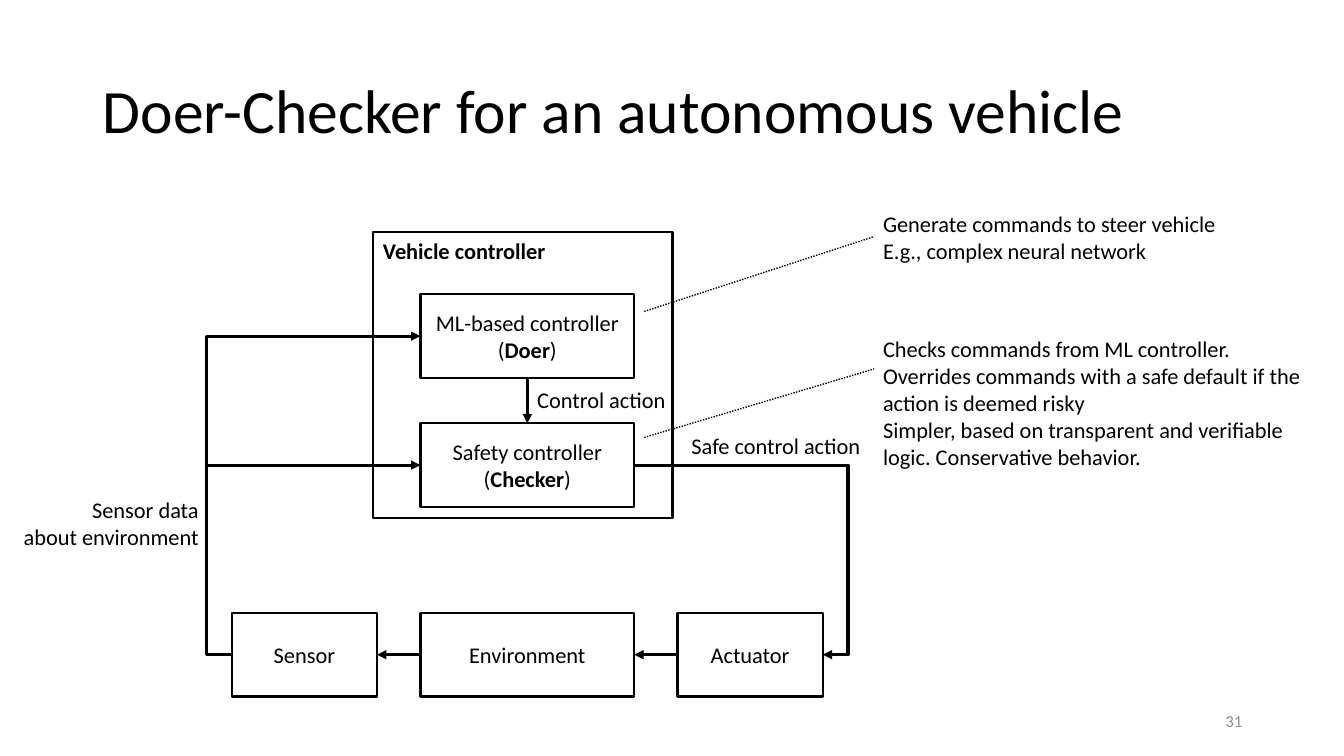
from pptx import Presentation
from pptx.dml.color import RGBColor
from pptx.enum.dml import MSO_LINE
from pptx.enum.shapes import MSO_CONNECTOR as CXN, MSO_SHAPE
from pptx.enum.text import MSO_ANCHOR as ANCHOR, MSO_AUTO_SIZE as AUTO, PP_ALIGN as ALIGN
from pptx.oxml.ns import qn
from pptx.util import Pt
from lxml.etree import SubElement

PX = 9144
BLACK = RGBColor(0x00, 0x00, 0x00)
GRAY = RGBColor(0x8C, 0x8C, 0x8C)
FONT = "Calibri"
TOP, LEFT, BOTTOM, RIGHT = range(4)
LOOP_OUT = 25

TITLE = "Doer-Checker for an autonomous vehicle"
PAGE = "31"
BOXES = {
    "doer": (417, 292, 212, 83, [["ML-based controller"], ["(", "*Doer", ")"]]),
    "checker": (417, 420, 212, 83, [["Safety controller"], ["(", "*Checker", ")"]]),
    "sensor": (230, 608, 144, 83, [["Sensor"]]),
    "environment": (417, 608, 212, 83, [["Environment"]]),
    "actuator": (672, 608, 144, 83, [["Actuator"]]),
    "vehicle": (370, 230, 297, 284, [["*Vehicle controller"]]),
}
ARROWS = [
    ("doer", BOTTOM, "checker", TOP),
    ("actuator", LEFT, "environment", RIGHT),
    ("environment", LEFT, "sensor", RIGHT),
]
LOOPS = [
    ("checker", RIGHT, "actuator", RIGHT),
    ("sensor", LEFT, "checker", LEFT),
    ("sensor", LEFT, "doer", LEFT),
]
POINTERS = [(639, 309, 866, 235), (639, 434, 867, 366)]
LABELS = [
    (523, 378, 149, 37, ALIGN.LEFT, False, [["Control action"]]),
    (676, 424, 190, 37, ALIGN.LEFT, False, [["Safe control action"]]),
    (10, 487, 197, 64, ALIGN.RIGHT, True, [["Sensor data"], ["about environment"]]),
    (866, 204, 451, 64, ALIGN.LEFT, True, [
        ["Generate commands to steer vehicle"],
        ["E.g., complex neural network"]]),
    (866, 328, 451, 145, ALIGN.LEFT, True, [
        ["Checks commands from ML controller."],
        ["Overrides commands with a safe default if the action is deemed risky"],
        ["Simpler, based on transparent and verifiable logic. Conservative behavior."]]),
]


def emu(*lengths):
    return [n * PX for n in lengths]


def write(s, paragraphs, align, anchor, wrap, size=16, color=BLACK):
    tf = s.text_frame
    tf.word_wrap = wrap
    tf.vertical_anchor = anchor
    for i, runs in enumerate(paragraphs):
        p = tf.add_paragraph() if i else tf.paragraphs[0]
        p.alignment = align
        for text in runs:
            r = p.add_run()
            r.text = text.lstrip("*")
            r.font.name = FONT
            r.font.size = Pt(size)
            r.font.bold = text.startswith("*")
            r.font.color.rgb = color
    return tf


def add_box(x, y, w, h, paragraphs, align, anchor):
    s = slide.shapes.add_shape(MSO_SHAPE.FLOWCHART_PROCESS, *emu(x, y, w, h))
    s.shadow.inherit = False
    s.fill.background()
    s.line.color.rgb = BLACK
    s.line.width = Pt(1.5)
    write(s, paragraphs, align, anchor, False)
    return s


def add_line(kind, ends, width):
    c = slide.shapes.add_connector(kind, *ends)
    c.line.color.rgb = BLACK
    c.line.width = Pt(width)
    SubElement(c.element.spPr, qn("a:effectLst"))
    return c


def site(s, side):
    return [(s.left + s.width // 2, s.top), (s.left, s.top + s.height // 2),
            (s.left + s.width // 2, s.top + s.height),
            (s.left + s.width, s.top + s.height // 2)][side]


def add_arrow(kind, start, start_side, end, end_side):
    a, b = boxes[start], boxes[end]
    c = add_line(kind, site(a, start_side) + site(b, end_side), 2.25)
    c.begin_connect(a, start_side)
    c.end_connect(b, end_side)
    SubElement(c.line._get_or_add_ln(), qn("a:tailEnd"), type="triangle")
    return c


def add_loop(start, start_side, end, end_side):
    c = add_arrow(CXN.ELBOW, start, start_side, end, end_side)
    out = LOOP_OUT * PX / c.width
    bend = 1 + out if start_side == RIGHT else -out
    guides = c.element.spPr.find(qn("a:prstGeom")).get_or_add_avLst()
    SubElement(guides, qn("a:gd"), name="adj1", fmla=f"val {round(bend * 100000)}")


prs = Presentation()
prs.slide_width, prs.slide_height = emu(1333, 750)
slide = prs.slides.add_slide(prs.slide_layouts[5])

title = slide.shapes.title
title.left, title.top, title.width, title.height = emu(92, 40, 1150, 145)
write(title, [[TITLE]], ALIGN.LEFT, ANCHOR.MIDDLE, True, 44)
title.text_frame.paragraphs[0].line_spacing = 0.9

boxes = {}
for name, (x, y, w, h, paragraphs) in BOXES.items():
    frame = name == "vehicle"
    boxes[name] = add_box(x, y, w, h, paragraphs,
                          ALIGN.LEFT if frame else ALIGN.CENTER,
                          ANCHOR.TOP if frame else ANCHOR.MIDDLE)

for arrow in ARROWS:
    add_arrow(CXN.STRAIGHT, *arrow)
for loop in LOOPS:
    add_loop(*loop)
for ends in POINTERS:
    add_line(CXN.STRAIGHT, emu(*ends), 1).line.dash_style = MSO_LINE.ROUND_DOT

for x, y, w, h, align, wrap, paragraphs in LABELS:
    s = slide.shapes.add_textbox(*emu(x, y, w, h))
    tf = write(s, paragraphs, align, ANCHOR.TOP, wrap)
    tf.auto_size = AUTO.SHAPE_TO_FIT_TEXT

number = slide.shapes.add_textbox(*emu(942, 695, 300, 40))
write(number, [[PAGE]], ALIGN.RIGHT, ANCHOR.MIDDLE, True, 12, GRAY)

prs.save("out.pptx")
